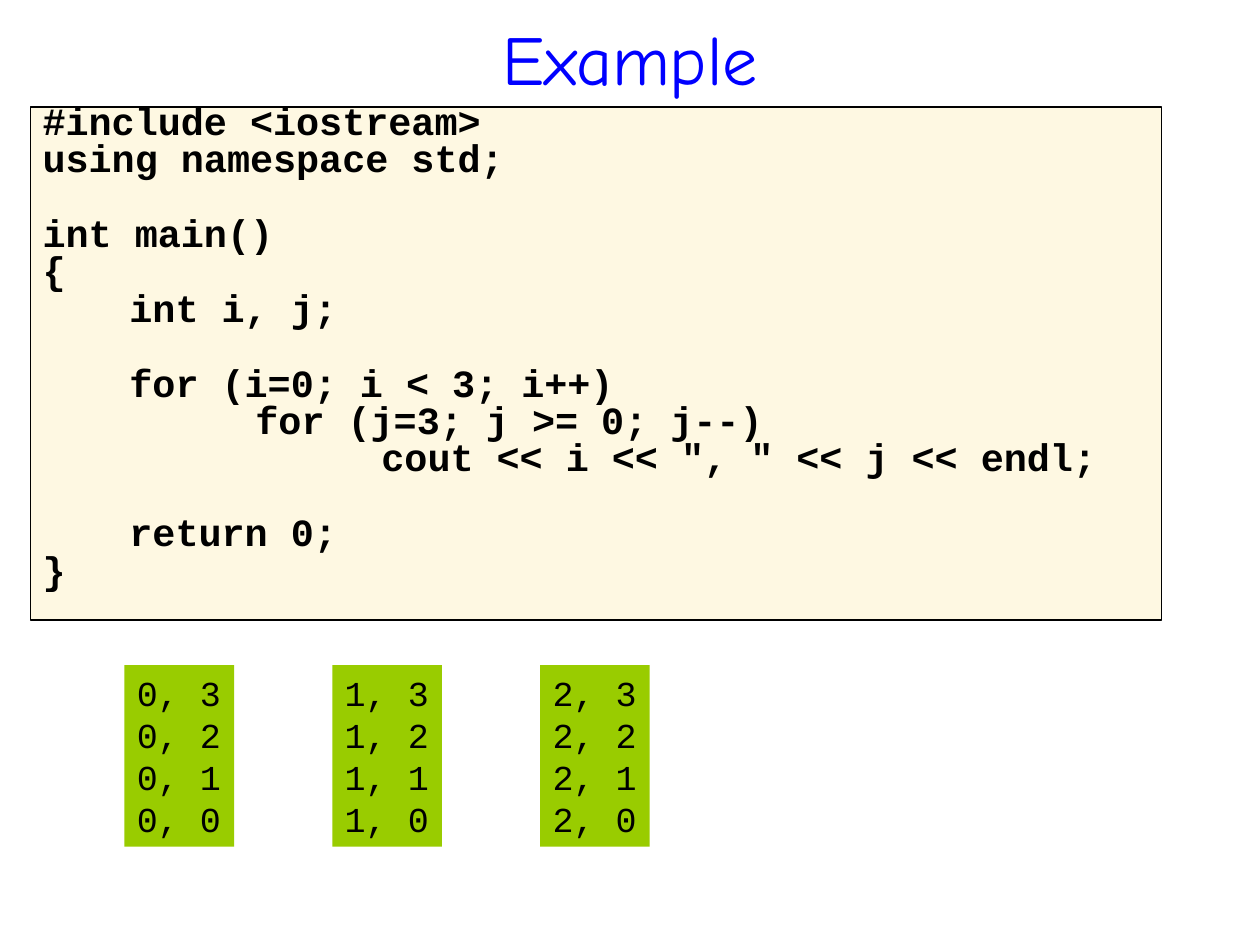
from pptx import Presentation
from pptx.dml.color import RGBColor
from pptx.enum.shapes import MSO_SHAPE
from pptx.enum.text import MSO_ANCHOR, PP_ALIGN
from pptx.util import Cm, Pt

BLACK = RGBColor(0x00, 0x00, 0x00)
BLUE = RGBColor(0x00, 0x00, 0xFF)
CREAM = RGBColor(0xFE, 0xF8, 0xE2)
GREEN = RGBColor(0x99, 0xCC, 0x00)
CODE_FONT = "Courier New"

# (indent level, text, whether a gap of one line comes before)
CODE_LINES = [
    (0, "#include <iostream>", False),
    (0, "using namespace std;", False),
    (0, "int main()", True),
    (0, "{", False),
    (1, "int i, j;", False),
    (1, "for (i=0; i < 3; i++)", True),
    (2, "for (j=3; j >= 0; j--)", False),
    (3, 'cout << i << ", " << j << endl;', False),
    (1, "return 0;", True),
    (0, "}", False),
]
LEVEL_INDENTS = [Cm(0), Cm(1.75), Cm(4.29), Cm(6.83)]
LINE_GAP = 5.5
BLANK_LINE = 21.4


def write_lines(shape, lines, font=CODE_FONT, size=20, color=BLACK, bold=False,
                align=PP_ALIGN.LEFT, anchor=MSO_ANCHOR.TOP, wrap=True):
    """Write one paragraph per line and return the paragraphs."""
    frame = shape.text_frame
    frame.text = "\n".join(lines)
    frame.word_wrap = wrap
    frame.vertical_anchor = anchor
    for paragraph in frame.paragraphs:
        paragraph.alignment = align
        run_font = paragraph.runs[0].font
        run_font.name = font
        run_font.size = Pt(size)
        run_font.bold = bold
        run_font.color.rgb = color
    return frame.paragraphs


def add_box(slide, left, top, width, height, fill):
    box = slide.shapes.add_shape(MSO_SHAPE.RECTANGLE, left, top, width, height)
    box.shadow.inherit = False
    box.fill.solid()
    box.fill.fore_color.rgb = fill
    box.line.fill.background()
    return box


presentation = Presentation()
presentation.slide_width = Cm(25.4)
presentation.slide_height = Cm(19.05)
slide = presentation.slides.add_slide(presentation.slide_layouts[6])

title = slide.shapes.add_textbox(Cm(1.27), Cm(0.41), Cm(22.86), Cm(1.5))
write_lines(title, ["Example"], font="Comic Neue", size=40, color=BLUE,
            align=PP_ALIGN.CENTER, anchor=MSO_ANCHOR.MIDDLE)

code_box = add_box(slide, Cm(0.61), Cm(2.16), Cm(22.81), Cm(10.34), CREAM)
code_box.line.color.rgb = BLACK
code_box.line.width = Pt(0.75)
paragraphs = write_lines(code_box, [text for _, text, _ in CODE_LINES], size=22, bold=True)
for paragraph, (level, _, gap_before) in zip(paragraphs, CODE_LINES):
    paragraph.line_spacing = 0.6
    paragraph.space_before = Pt(LINE_GAP + BLANK_LINE * gap_before)
    paragraph._p.get_or_add_pPr().set("marL", str(LEVEL_INDENTS[level]))

for i in range(3):
    output_box = add_box(slide, Cm(2.51 + 4.19 * i), Cm(13.41), Cm(2.21), Cm(3.66), GREEN)
    write_lines(output_box, [f"{i}, {j}" for j in range(3, -1, -1)], wrap=False)

presentation.save("out.pptx")
